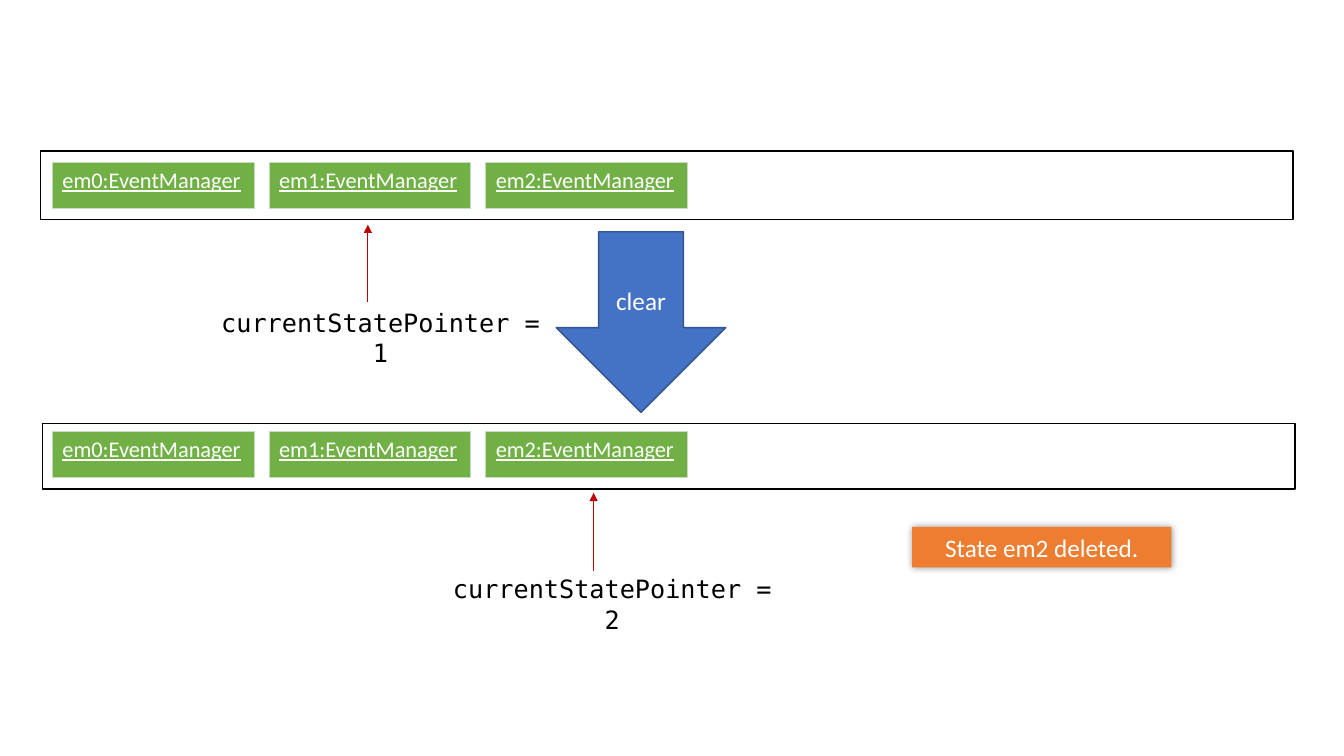
import pptx
import pptx.util
import pptx.dml.color
import pptx.enum.shapes
import pptx.enum.text
import pptx.oxml
import pptx.oxml.ns

Cm = pptx.util.Cm
Pt = pptx.util.Pt
SHAPES = pptx.enum.shapes.MSO_SHAPE
ANCHORS = pptx.enum.text.MSO_ANCHOR
NAMESPACE = pptx.oxml.ns.nsdecls("a")

BODY_FONT, CODE_FONT = "Calibri", "DejaVu Sans Mono"
WHITE, BLACK, RED = "FFFFFF", "000000", "C00000"
BLUE, DARK_BLUE, ORANGE = "4472C4", "325491", "ED7D31"
GREEN, PALE_GREEN = "70B045", "C9DBC1"


def colour(hex_text):
    return pptx.dml.color.RGBColor.from_string(hex_text)


def append_xml(parent, xml):
    parent.append(pptx.oxml.parse_xml(xml))


def write_text(frame, text, font, size, hex_text, centred=True):
    frame.word_wrap = True
    para = frame.paragraphs[0]
    para.text = text
    if centred:
        para.alignment = pptx.enum.text.PP_ALIGN.CENTER
    para.font.name = font
    para.font.size = Pt(size)
    para.font.color.rgb = colour(hex_text)
    return para


def add_box(page, kind, place, fill=None, line=None):
    box = page.shapes.add_shape(kind, *map(Cm, place))
    box.shadow.inherit = False
    if fill:
        box.fill.solid()
        box.fill.fore_color.rgb = colour(fill)
    else:
        box.fill.background()
    if line:
        box.line.color.rgb = colour(line)
        box.line.width = Pt(1)
    else:
        box.line.fill.background()
    return box


def add_note(page, place, text):
    note = add_box(page, SHAPES.RECTANGLE, place, fill=ORANGE)
    # Soft glow-like shadow with no offset
    effects = note._element.spPr.find(pptx.oxml.ns.qn("a:effectLst"))
    append_xml(effects, f'<a:outerShdw {NAMESPACE} blurRad="{Pt(5)}" dist="0" dir="0">'
                        f'<a:srgbClr val="{BLACK}"><a:alpha val="40000"/></a:srgbClr>'
                        '</a:outerShdw>')
    write_text(note.text_frame, text, BODY_FONT, 18, WHITE)
    note.text_frame.vertical_anchor = ANCHORS.TOP
    note.text_frame.auto_size = pptx.enum.text.MSO_AUTO_SIZE.SHAPE_TO_FIT_TEXT


def add_pointer(page, arrow_left, arrow_top, label_left, label_top, text):
    # Arrow pointing up at the state list
    arrow = page.shapes.add_connector(
        pptx.enum.shapes.MSO_CONNECTOR.STRAIGHT,
        Cm(arrow_left), Cm(arrow_top + 1.96), Cm(arrow_left), Cm(arrow_top))
    arrow.line.color.rgb = colour(RED)
    arrow.line.width = Pt(0.5)
    append_xml(arrow.line._get_or_add_ln(), f'<a:tailEnd {NAMESPACE} type="triangle"/>')
    append_xml(arrow._element.spPr, f'<a:effectLst {NAMESPACE}/>')

    # Label under the arrow
    label = page.shapes.add_textbox(Cm(label_left), Cm(label_top), Cm(8.92), Cm(1.02))
    write_text(label.text_frame, text, CODE_FONT, 18, BLACK)
    label.text_frame.auto_size = pptx.enum.text.MSO_AUTO_SIZE.SHAPE_TO_FIT_TEXT


def add_state(page, left, top, text):
    table = page.shapes.add_table(1, 1, Cm(left), Cm(top), Cm(5.08), Cm(1.17)).table
    table.first_row = table.horz_banding = False
    cell = table.cell(0, 0)
    for side in ("lnL", "lnR", "lnT", "lnB"):
        append_xml(cell._tc.get_or_add_tcPr(),
                   f'<a:{side} {NAMESPACE} w="{Pt(0.5)}"><a:solidFill>'
                   f'<a:srgbClr val="{PALE_GREEN}"/></a:solidFill></a:{side}>')
    cell.fill.solid()
    cell.fill.fore_color.rgb = colour(GREEN)
    para = write_text(cell.text_frame, text, BODY_FONT, 16, WHITE, centred=False)
    para.font.underline = True


def add_state_list(page, frame_place, states_top):
    add_box(page, SHAPES.RECTANGLE, frame_place, line=BLACK)
    for index in range(3):
        add_state(page, 1.32 + 5.46 * index, states_top, f"em{index}:EventManager")


def main():
    deck = pptx.Presentation()
    deck.slide_width, deck.slide_height = Cm(33.87), Cm(19.05)
    page = deck.slides.add_slide(deck.slide_layouts[6])

    # Command between the two states
    command = add_box(page, SHAPES.DOWN_ARROW, (14.02, 5.84, 4.27, 4.55), BLUE, DARK_BLUE)
    write_text(command.text_frame, "clear", BODY_FONT, 18, WHITE)
    command.text_frame.vertical_anchor = ANCHORS.MIDDLE
    add_note(page, (22.99, 13.28, 6.53, 1.02), "State em2 deleted.")

    # Before the command
    add_state_list(page, (1.02, 3.81, 31.57, 1.73), 4.09)
    add_pointer(page, 9.27, 5.66, 5.13, 7.62, "currentStatePointer = 1")

    # After the command
    add_state_list(page, (1.07, 10.67, 31.57, 1.65), 10.87)
    add_pointer(page, 14.96, 12.42, 10.97, 14.33, "currentStatePointer = 2")

    deck.save("out.pptx")


if __name__ == "__main__":
    main()
